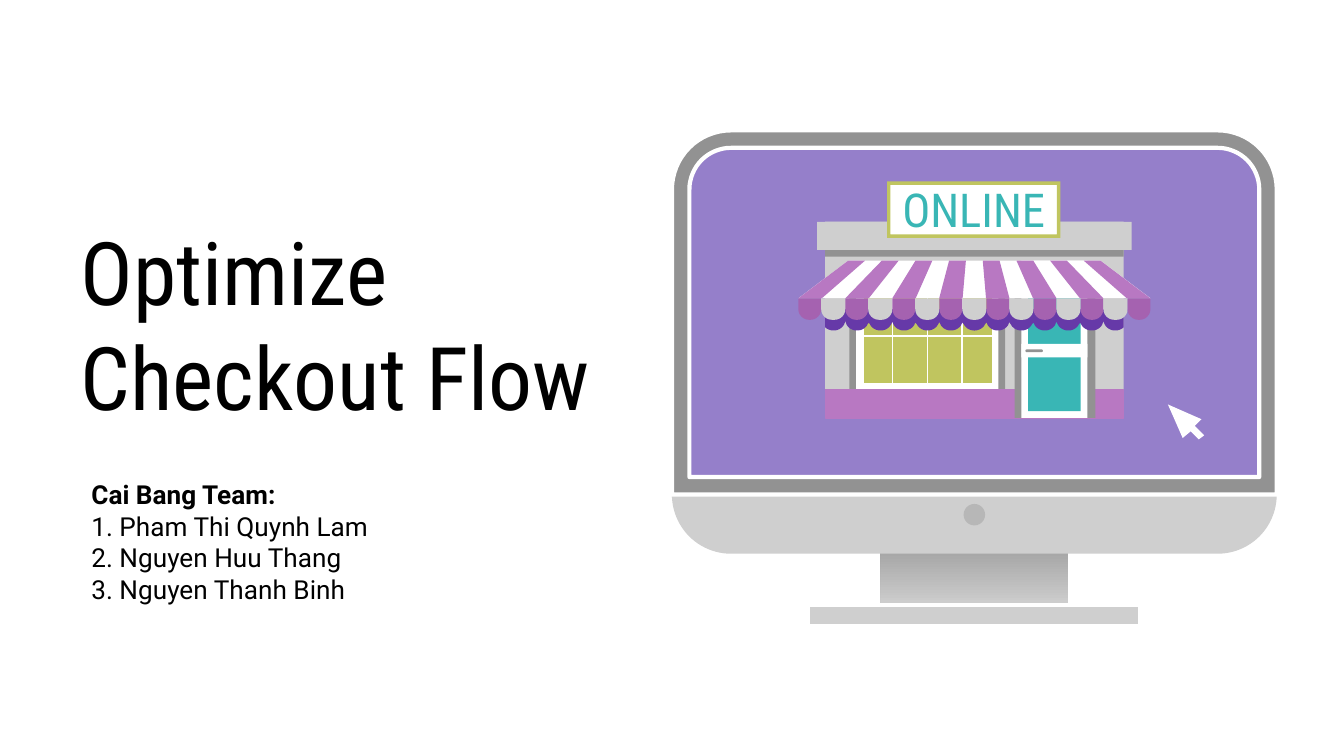
from dataclasses import dataclass
from math import cos, pi, sin, sqrt
from typing import NamedTuple, Optional

from lxml import etree
from pptx import Presentation
from pptx.dml.color import RGBColor
from pptx.enum.shapes import MSO_CONNECTOR, MSO_SHAPE as Geo
from pptx.enum.text import MSO_ANCHOR, MSO_AUTO_SIZE, PP_ALIGN
from pptx.oxml.ns import qn
from pptx.util import Emu, Pt

PX = 9144  # 100 px to the inch
Points = list[tuple[float, float]]


@dataclass(frozen=True)
class Theme:
    black: str = "000000"
    white: str = "FFFFFF"
    light: str = "CFCFCF"
    button: str = "B7B7B7"
    grey: str = "929292"
    stand_top: str = "919191"
    stand_bottom: str = "DDDDDD"
    screen: str = "957FCA"
    olive: str = "C0C55F"
    teal: str = "39B6B5"
    orchid: str = "B878C2"
    plum: str = "A562B0"
    violet: str = "6639A8"
    display: str = "Roboto Condensed"
    text: str = "Roboto"
    title_pt: int = 47
    sign_pt: int = 25
    body_pt: int = 14


T = Theme()


class Box(NamedTuple):
    x: int
    y: int
    w: int
    h: int


@dataclass(frozen=True)
class Block:
    box: Box
    fill: str
    line: Optional[str] = None
    line_pt: float = 0
    geo: Geo = Geo.RECTANGLE
    adj: tuple[float, ...] = ()


MONITOR = Box(500, 97, 450, 315)
SCREEN = Box(500, 97, 450, 271)
CORNER, BEZEL = 44, 13
STAND = Box(655, 391, 140, 73)
SIGN = Box(660, 136, 129, 39)

FOOT = Block(Box(601, 450, 247, 16), T.light, T.white, 2.25)
MONITOR_BLOCKS = [
    Block(MONITOR, T.light, geo=Geo.ROUNDED_RECTANGLE, adj=(CORNER / MONITOR.h,)),
    Block(SCREEN, T.screen, geo=Geo.ROUND_2_SAME_RECTANGLE, adj=(CORNER / SCREEN.h, 0)),
    Block(Box(717, 375, 16, 16), T.button, geo=Geo.OVAL),
]
WINDOW_BLOCKS = [
    Block(Box(614, 165, 222, 146), T.light),
    Block(Box(632, 206, 116, 89), T.grey),
    Block(Box(637, 211, 106, 79), T.white),
    Block(Box(643, 216, 95, 69), T.olive),
]
DOOR_BLOCKS = [
    Block(Box(614, 290, 222, 21), T.orchid, T.orchid, 0.75),
    Block(Box(755, 196, 60, 115), T.grey),
    Block(Box(760, 194, 49, 117), T.white),
    Block(Box(765, 199, 39, 107), T.teal),
]
FRONT_BLOCKS = [
    Block(Box(760, 256, 49, 10), T.white),
    Block(Box(763, 260, 13, 2), T.grey, geo=Geo.ROUNDED_RECTANGLE, adj=(0.5,)),
    Block(Box(614, 172, 222, 19), T.grey),
    Block(Box(608, 165, 234, 21), T.light),
    Block(Box(662, 136, 126, 39), T.white),
    Block(Box(660, 135, 129, 42), T.olive, geo=Geo.FRAME, adj=(0.06,)),
]
MULLIONS = [(639, 250, 741, 250)] + [(x, 208, x, 288) for x in (664, 690, 716)]

SLOTS = 15
AWNING_TOP, AWNING_EDGE, SCALLOP_END = 194, 222, 238
ROOF_X, ROOF_W = 631, 188
EDGE_X, EDGE_W = 594, 262
SLOT_W = EDGE_W / SLOTS
CURSOR = [(869, 301), (880, 326), (886, 321), (892, 327), (896, 324), (889, 317), (894, 312)]


def emu(*lengths: float) -> list[Emu]:
    return [Emu(round(v * PX)) for v in lengths]


def rgb(colour: str) -> RGBColor:
    return RGBColor.from_string(colour)


def paint(sp, fill: str, line: Optional[str] = None, line_pt: float = 0) -> None:
    sp.shadow.inherit = False
    sp.fill.solid()
    sp.fill.fore_color.rgb = rgb(fill)
    if line:
        sp.line.color.rgb = rgb(line)
        sp.line.width = Pt(line_pt)
    else:
        sp.line.fill.background()


def draw_block(s, block: Block):
    sp = s.shapes.add_shape(block.geo, *emu(*block.box))
    for i, value in enumerate(block.adj):
        sp.adjustments[i] = value
    paint(sp, block.fill, block.line, block.line_pt)
    return sp


def draw_outline(s, contours: list[Points], fill: str, line: Optional[str] = None,
                 line_pt: float = 0) -> None:
    """Fill one or more closed contours; an inner one makes a hole."""
    builder = s.shapes.build_freeform(*emu(*contours[0][0]))
    for i, contour in enumerate(contours):
        if i:
            builder.move_to(*emu(*contour[0]))
        builder.add_line_segments([emu(*pt) for pt in contour[1:]], close=True)
    paint(builder.convert_to_shape(), fill, line, line_pt)


def draw_line(s, ends: tuple[int, int, int, int], colour: str, width: float) -> None:
    line = s.shapes.add_connector(MSO_CONNECTOR.STRAIGHT, *emu(*ends))
    line.line.color.rgb = rgb(colour)
    line.line.width = Pt(width)
    etree.SubElement(line._element.spPr, qn("a:effectLst"))


def arched(box: Box, radius: int, steps: int = 16) -> Points:
    """Rectangle with rounded top corners."""
    def corner(cx: int, start: float) -> Points:
        angles = [start + pi / 2 * i / steps for i in range(steps + 1)]
        return [(cx + radius * cos(a), box.y + radius + radius * sin(a)) for a in angles]

    right, bottom = box.x + box.w, box.y + box.h
    return [(box.x, bottom), *corner(box.x + radius, pi),
            *corner(right - radius, 1.5 * pi), (right, bottom)]


def draw_monitor(s) -> None:
    stand = draw_block(s, Block(STAND, T.stand_top))
    stand.fill.gradient()
    stand.fill.gradient_angle = 270
    for stop, colour in zip(stand.fill.gradient_stops, (T.stand_top, T.stand_bottom)):
        stop.color.rgb = rgb(colour)
    for block in [FOOT, *MONITOR_BLOCKS]:
        draw_block(s, block)
    glass = Box(SCREEN.x + BEZEL, SCREEN.y + BEZEL, SCREEN.w - 2 * BEZEL, SCREEN.h - 2 * BEZEL)
    draw_outline(s, [arched(SCREEN, CORNER), arched(glass, CORNER - BEZEL)],
                 T.grey, T.white, 2.25)


def draw_awning_shade(s) -> None:
    def depth(x: int) -> float:
        offset = (x - EDGE_X) % SLOT_W / SLOT_W * 2 - 1
        return SCALLOP_END + 8 * sqrt(1 - offset ** 2)

    left, right, top = 614, 836, 230
    wave = [(x, depth(x)) for x in range(left, right + 1)]
    draw_outline(s, [[(left, top), *wave, (right, top)]], T.violet)


def draw_awning(s) -> None:
    def strip(first: int, last: int) -> Points:
        top = [ROOF_X + ROOF_W * i / SLOTS for i in (first, last)]
        edge = [EDGE_X + SLOT_W * i for i in (last, first)]
        return [(x, AWNING_TOP) for x in top] + [(x, AWNING_EDGE) for x in edge]

    draw_outline(s, [strip(0, SLOTS)], T.white)
    for i in range(0, SLOTS, 2):
        draw_outline(s, [strip(i, i + 1)], T.orchid)
    for i in range(SLOTS):
        x, end = (round(EDGE_X + SLOT_W * k) for k in (i, i + 1))
        draw_block(s, Block(Box(x, AWNING_EDGE, end - x, SCALLOP_END - AWNING_EDGE),
                            T.light if i % 2 else T.plum,
                            geo=Geo.ROUND_2_SAME_RECTANGLE, adj=(0, 0.5)))


def write(sp, box: Box, text: str, font: str, size: int, colour: str,
          align: PP_ALIGN = PP_ALIGN.LEFT, wrap: bool = True) -> None:
    sp.left, sp.top, sp.width, sp.height = emu(*box)
    tf = sp.text_frame
    tf.text = text
    tf.auto_size = MSO_AUTO_SIZE.NONE
    tf.word_wrap = wrap
    tf.vertical_anchor = MSO_ANCHOR.MIDDLE
    tf.margin_left = tf.margin_top = tf.margin_right = tf.margin_bottom = Emu(10 * PX)
    for p in tf.paragraphs:
        p.alignment = align
        p.space_before = Pt(0)
        for r in p.runs:
            r.font.name, r.font.size = font, Pt(size)
            r.font.color.rgb = rgb(colour)


def main() -> None:
    prs = Presentation()
    prs.slide_width = Emu(1000 * PX)
    prs.slide_height = Emu(prs.slide_width * 9 // 16)
    s = prs.slides.add_slide(prs.slide_layouts[0])

    write(s.shapes.title, Box(50, 158, 417, 165), "Optimize Checkout Flow",
          T.display, T.title_pt, T.black)
    team = s.placeholders[1]
    write(team, Box(58, 327, 322, 152),
          "Cai Bang Team:\n1. Pham Thi Quynh Lam\n2. Nguyen Huu Thang\n3. Nguyen Thanh Binh",
          T.text, T.body_pt, T.black)
    team.text_frame.paragraphs[0].runs[0].font.bold = True

    draw_monitor(s)
    for block in WINDOW_BLOCKS:
        draw_block(s, block)
    for ends in MULLIONS:
        draw_line(s, ends, T.white, 0.85)
    for block in DOOR_BLOCKS:
        draw_block(s, block)
    draw_awning_shade(s)
    for block in FRONT_BLOCKS:
        draw_block(s, block)
    draw_awning(s)
    draw_outline(s, [CURSOR], T.white)
    write(s.shapes.add_textbox(*emu(*SIGN)), SIGN, "ONLINE", T.display, T.sign_pt, T.teal,
          PP_ALIGN.CENTER, wrap=False)
    prs.save("out.pptx")


if __name__ == "__main__":
    main()
